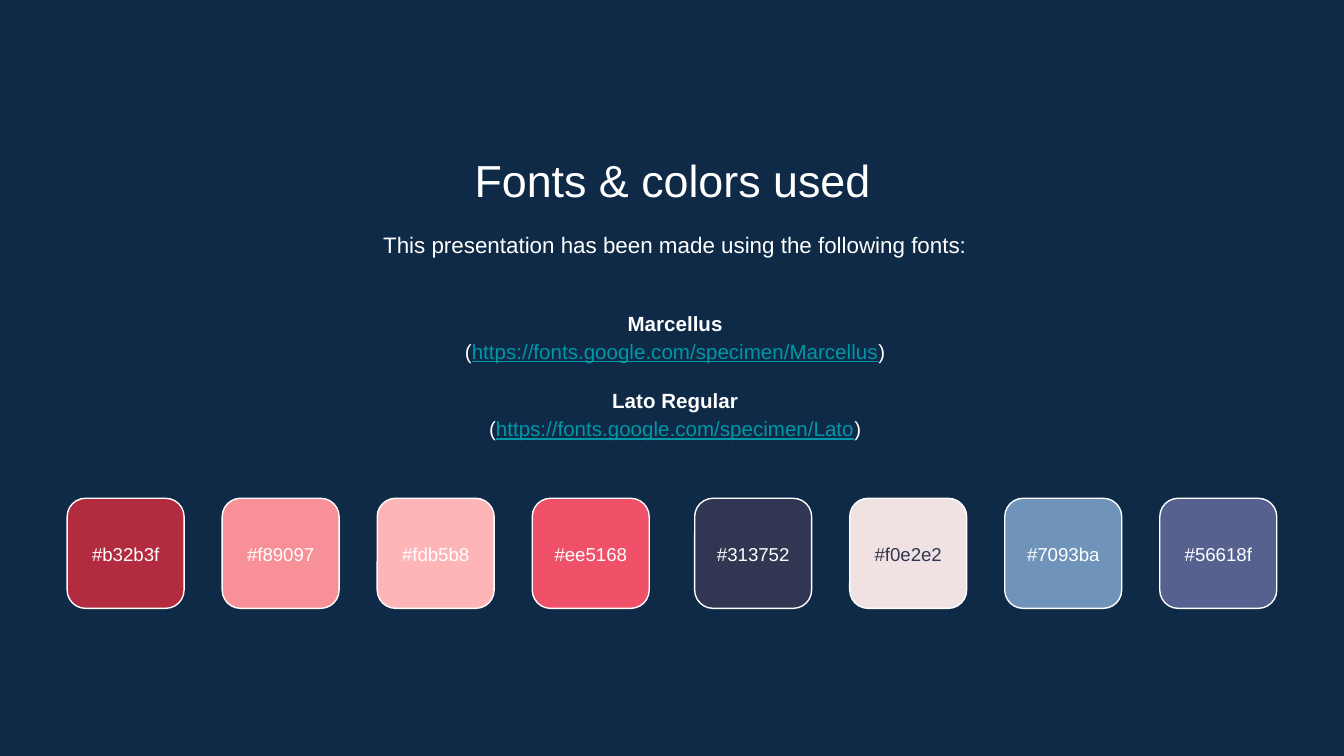
from dataclasses import dataclass

import pptx
import pptx.dml.color
import pptx.enum.shapes
import pptx.enum.text
import pptx.oxml.ns
import pptx.util
from lxml import etree

Cm, Pt = pptx.util.Cm, pptx.util.Pt
ANCHOR = pptx.enum.text.MSO_ANCHOR
WHITE, NAVY, INK, TEAL = "FFFFFF", "0E2A47", "313752", "0097A7"


@dataclass
class Run:
    text: str
    size: float
    color: str = WHITE
    bold: bool = False
    underline: bool = False


@dataclass
class Para:
    runs: list[Run]
    line_spacing: float = 1.15
    space_before: float = 0


@dataclass
class Swatch:
    color: str
    left: float
    label_color: str = WHITE


def rgb(color: str) -> pptx.dml.color.RGBColor:
    return pptx.dml.color.RGBColor.from_string(color)


def set_text(sp, paras: list[Para], anchor=ANCHOR.TOP) -> None:
    tf = sp.text_frame
    frame_format = {
        "word_wrap": True, "auto_size": pptx.enum.text.MSO_AUTO_SIZE.NONE,
        "vertical_anchor": anchor,
        **{f"margin_{side}": Cm(0.25) for side in ("left", "top", "right", "bottom")},
    }
    for name, value in frame_format.items():
        setattr(tf, name, value)
    for i, para in enumerate(paras):
        p = tf.paragraphs[0] if i == 0 else tf.add_paragraph()
        # No bullet and no hanging indent
        pPr = p._p.get_or_add_pPr()
        pPr.set("marL", "0")
        pPr.set("indent", "0")
        etree.SubElement(pPr, pptx.oxml.ns.qn("a:buNone"))
        para_format = {
            "alignment": pptx.enum.text.PP_ALIGN.CENTER,
            "line_spacing": para.line_spacing,
            "space_before": Pt(para.space_before), "space_after": Pt(0),
        }
        for name, value in para_format.items():
            setattr(p, name, value)
        for run in para.runs:
            r = p.add_run()
            r.text = run.text
            font_format = {"name": "Arial", "size": Pt(run.size),
                           "bold": run.bold, "underline": run.underline}
            for name, value in font_format.items():
                setattr(r.font, name, value)
            r.font.color.rgb = rgb(run.color)


def place(sp, left: float, top: float, width: float, height: float) -> None:
    box = {"left": left, "top": top, "width": width, "height": height}
    for name, value in box.items():
        setattr(sp, name, Cm(value))


def font_entry(name: str, url: str, space_before: float = 0) -> list[Para]:
    return [
        Para([Run(name, 11, bold=True)], space_before=space_before),
        Para([Run("(", 11), Run(url, 11, TEAL, underline=True), Run(")", 11)]),
    ]


def draw_swatch(s, swatch: Swatch) -> None:
    width = 2.21
    sp = s.shapes.add_shape(pptx.enum.shapes.MSO_SHAPE.ROUNDED_RECTANGLE,
                            Cm(swatch.left), Cm(9.42), Cm(width), Cm(2.08))
    sp.shadow.inherit = False
    sp.fill.solid()
    sp.fill.fore_color.rgb = rgb(swatch.color)
    sp.line.color.rgb = rgb(WHITE)
    sp.line.width = Pt(0.75)
    label = s.shapes.add_textbox(Cm(swatch.left), Cm(9.86), Cm(width), Cm(1.22))
    run = Run(f"#{swatch.color.lower()}", 10, swatch.label_color)
    set_text(label, [Para([run], line_spacing=1)], ANCHOR.MIDDLE)


def main() -> None:
    prs = pptx.Presentation()
    prs.slide_width, prs.slide_height = Cm(25.4), Cm(14.29)
    s = prs.slides.add_slide(prs.slide_layouts[3])
    s.background.fill.solid()
    s.background.fill.fore_color.rgb = rgb(NAVY)

    # Title, introduction and font list
    title, intro, fonts = list(s.placeholders)[:3]
    place(title, 2.92, 2.64, 19.58, 1.35)
    set_text(title, [Para([Run("Fonts & colors used", 24)], line_spacing=1)])
    place(intro, 2.97, 4.04, 19.58, 1.22)
    set_text(intro, [Para([Run(
        "This presentation has been made using the following fonts:", 12)])])
    place(fonts, 2.97, 5.33, 19.58, 3.48)
    set_text(
        fonts,
        font_entry("Marcellus", "https://fonts.google.com/specimen/Marcellus")
        + font_entry("Lato Regular", "https://fonts.google.com/specimen/Lato", 11),
        ANCHOR.MIDDLE)

    # Palette: two groups of four swatches
    groups = [(1.27, ["B32B3F", "F89097", "FDB5B8", "EE5168"]),
              (13.13, ["313752", "F0E2E2", "7093BA", "56618F"])]
    for start, colors in groups:
        for i, color in enumerate(colors):
            label_color = INK if color == "F0E2E2" else WHITE
            draw_swatch(s, Swatch(color, start + i * 2.93, label_color))

    prs.save("out.pptx")


if __name__ == "__main__":
    main()
